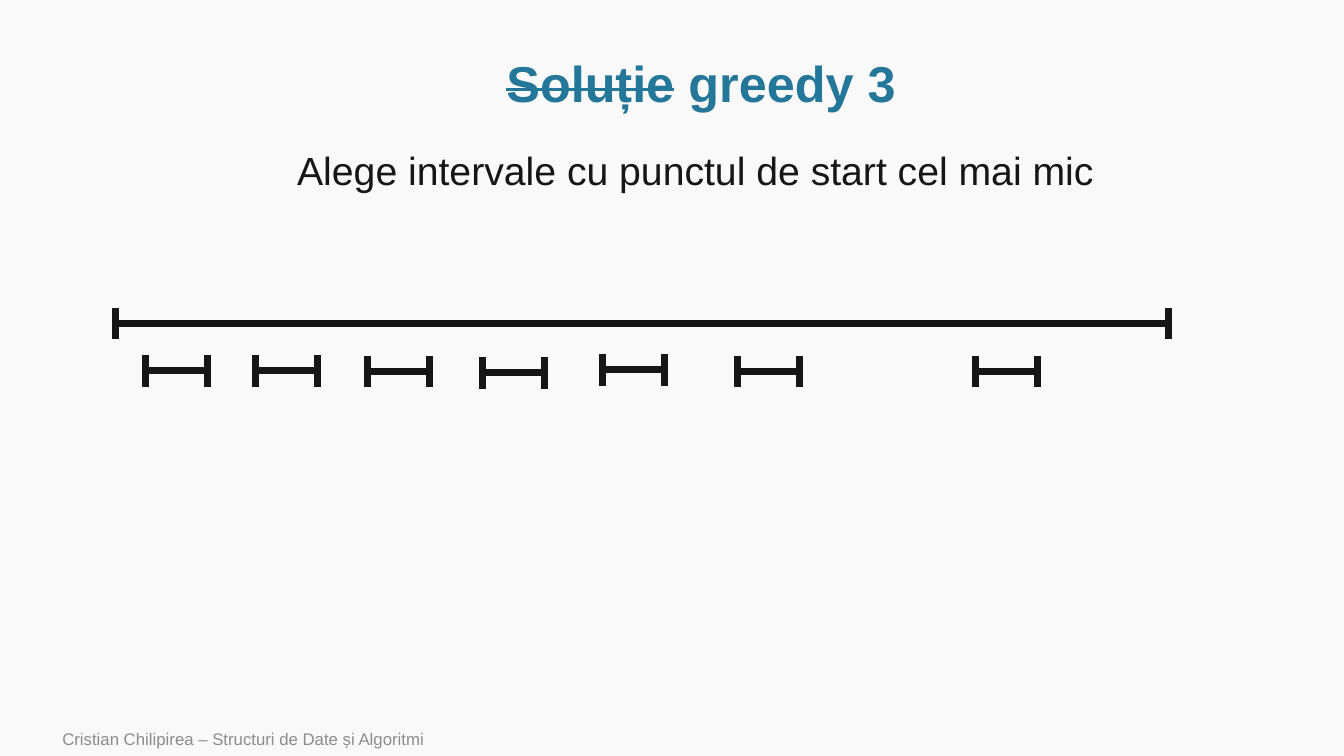
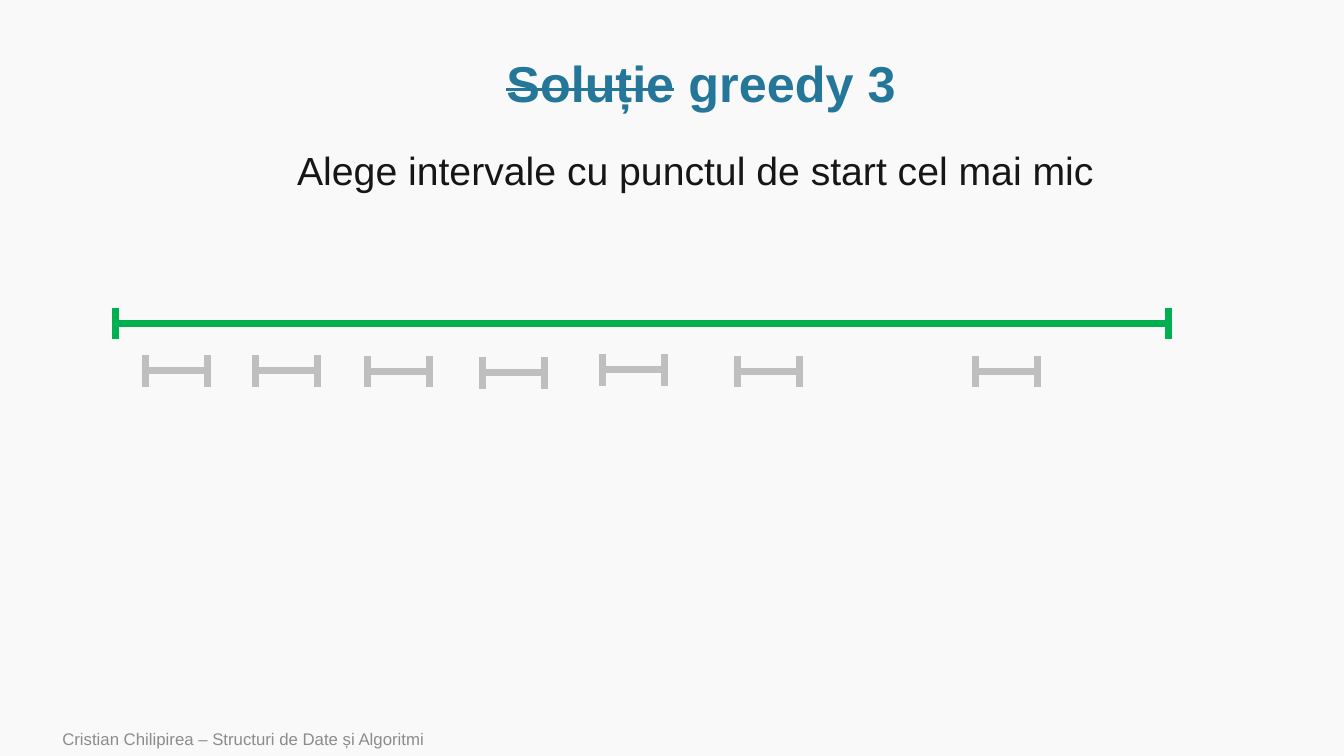
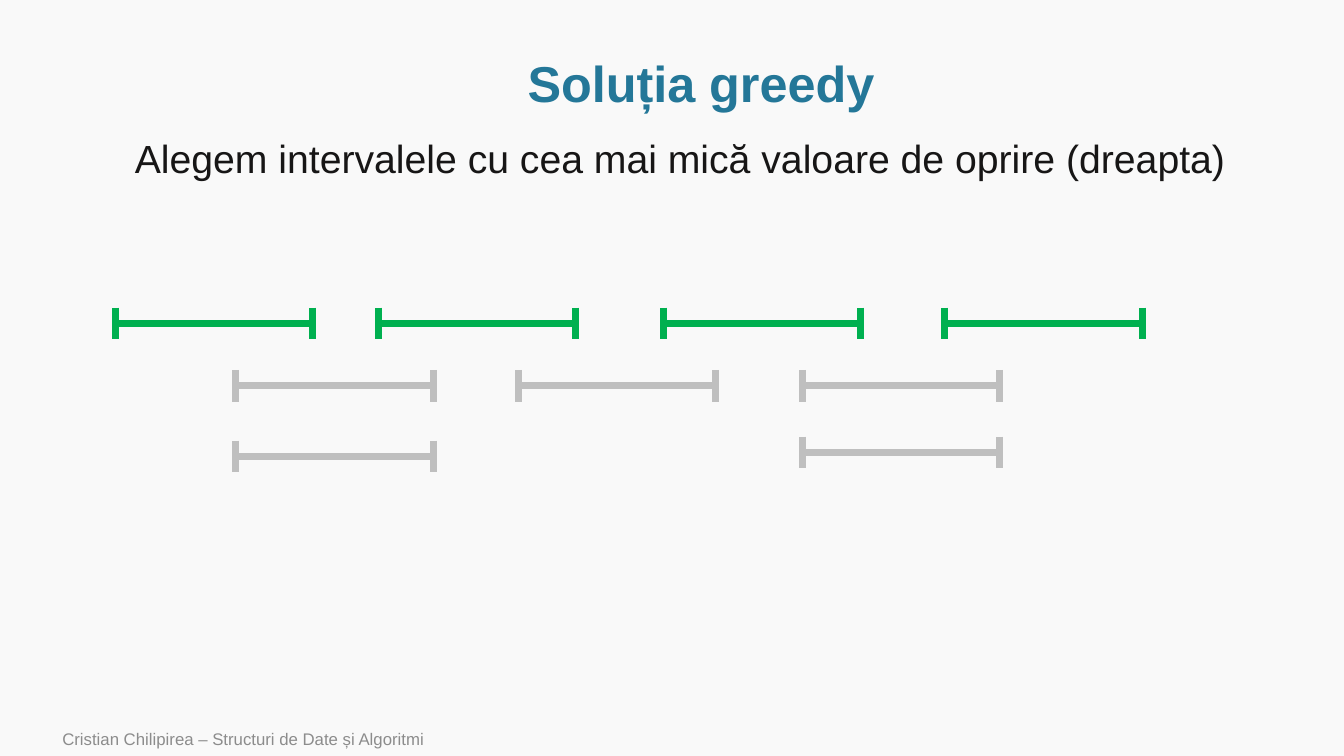
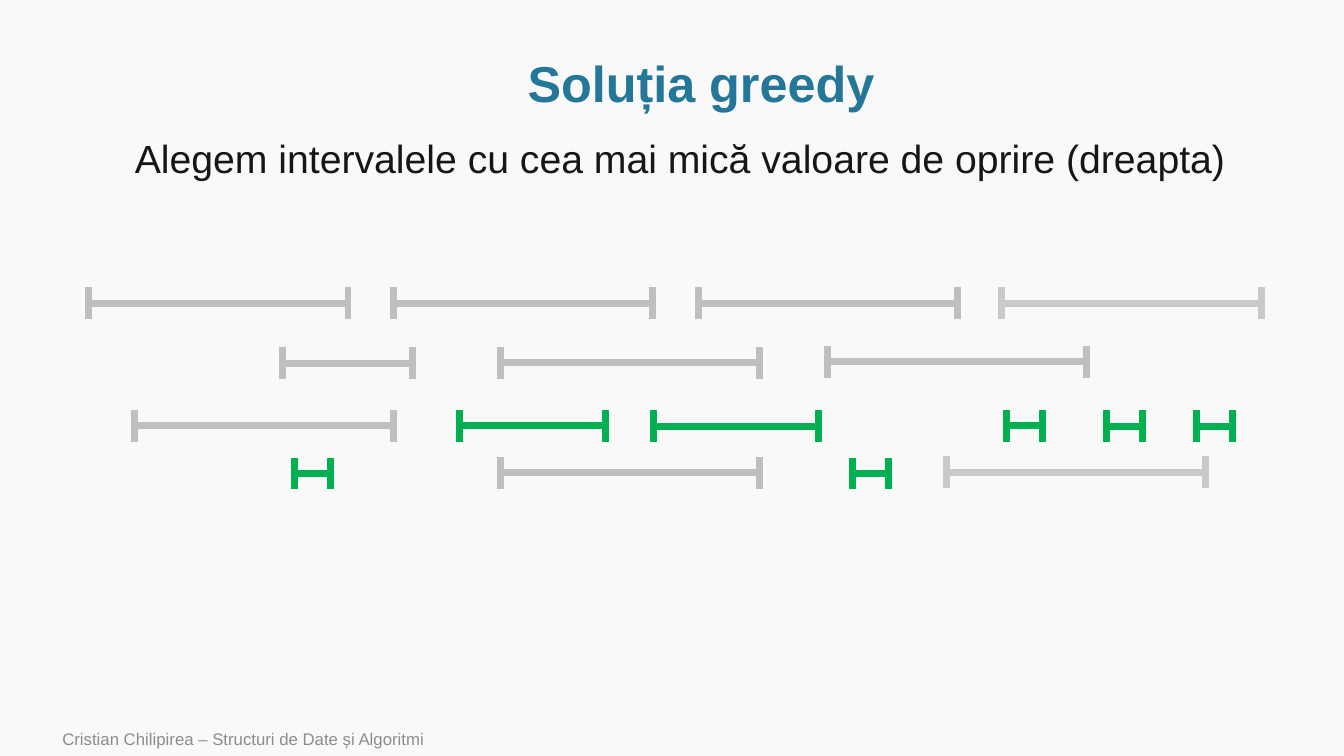
from pptx import Presentation
from pptx.dml.color import RGBColor
from pptx.enum.shapes import MSO_CONNECTOR
from pptx.enum.text import MSO_ANCHOR, MSO_AUTO_SIZE, PP_ALIGN
from pptx.oxml.ns import qn
from pptx.util import Cm, Pt
from lxml.etree import SubElement

BACK, BLUE, MUTED = "F9F9F9", "247798", "8C8C8C"
BLACK, GREEN, GREY, PALE = "171616", "00B050", "BFBFBF", "C9C9C9"
FOOTER = "Cristian Chilipirea – Structuri de Date și Algoritmi"
TICK = 0.4


def tint(color, code):
    color.rgb = RGBColor.from_string(code)


def write(box, place, parts, size, code, anchor=MSO_ANCHOR.TOP):
    box.left, box.top, box.width, box.height = [Cm(n) for n in place]
    frame = box.text_frame
    frame.word_wrap = True
    frame.auto_size = MSO_AUTO_SIZE.NONE
    frame.vertical_anchor = anchor
    para = frame.paragraphs[0]
    para.font.name = "Arial"
    para.font.size = Pt(size)
    tint(para.font.color, code)
    for text, struck in parts:
        run = para.add_run()
        run.text = text
        if struck:
            run._r.get_or_add_rPr().set("strike", "sngStrike")
    return para


start = {
    "title": [("Soluție", True), (" greedy 3", False)],
    "rule": "Alege intervale cu punctul de start cel mai mic",
    "place": (7.24, 3.56, 20.83, 1.45),
    "space": 1.0,
}
stop = {
    "title": [("Soluția greedy", False)],
    "rule": "Alegem intervalele cu cea mai mică valoare de oprire (dreapta)",
    "place": (3.15, 3.4, 29.29, 1.75),
    "space": 0.9,
}

long = (2.9, 8.15, 26.54)
short = [(x, y, 1.56) for x, y in [
    (3.66, 9.34), (6.45, 9.34), (9.27, 9.36), (12.17, 9.39),
    (15.19, 9.32), (18.59, 9.36), (24.59, 9.36)]]
even = [(x, 8.15, 4.98, GREEN) for x in (2.9, 9.53, 16.71, 23.8)]
even += [(x, y, 4.98, GREY) for x, y in [
    (5.94, 9.72), (13.06, 9.72), (20.22, 9.72), (5.94, 11.5), (20.22, 11.4)]]
mixed = [(x, y, 6.53, GREY) for x, y in [
    (2.24, 7.64), (9.91, 7.64), (17.6, 7.64), (12.62, 9.14),
    (20.85, 9.12), (3.38, 10.73), (12.62, 11.91)]]
mixed += [(x, y, 6.53, PALE) for x, y in [(25.25, 7.64), (23.85, 11.9)]]
mixed += [(7.11, 9.15, 3.28, GREY), (11.58, 10.73, 3.68, GREEN), (16.48, 10.74, 4.14, GREEN)]
mixed += [(x, y, 0.91, GREEN) for x, y in [
    (7.42, 11.93), (21.49, 11.93), (25.37, 10.73), (27.89, 10.74), (30.15, 10.74)]]

pages = [
    (start, [(*bar, BLACK) for bar in [long, *short]]),
    (start, [(*long, GREEN)] + [(*bar, GREY) for bar in short]),
    (stop, even),
    (stop, mixed),
]

deck = Presentation()
deck.slide_width, deck.slide_height = Cm(33.87), Cm(19.05)
fill = deck.slide_master.background.fill
fill.solid()
tint(fill.fore_color, BACK)

for head, bars in pages:
    slide = deck.slides.add_slide(deck.slide_layouts[5])
    shapes = slide.shapes

    title = write(shapes.title, (2.9, 1.3, 29.54, 1.75), head["title"], 36, BLUE, MSO_ANCHOR.MIDDLE)
    title.font.bold = True
    title.alignment = PP_ALIGN.CENTER
    title.line_spacing = 0.9

    rule = write(shapes.add_textbox(0, 0, 0, 0), head["place"], [(head["rule"], False)], 28, BLACK)
    rule.line_spacing = head["space"]

    write(shapes.add_textbox(0, 0, 0, 0), (1.32, 18.19, 21.34, 0.86),
          [(FOOTER, False)], 12, MUTED, MSO_ANCHOR.MIDDLE)

    for x, y, size, code in bars:
        group = shapes.add_group_shape()
        end = x + size
        for ends in [(x, y, end, y), (x, y - TICK, x, y + TICK), (end, y - TICK, end, y + TICK)]:
            line = group.shapes.add_connector(MSO_CONNECTOR.STRAIGHT, *[Cm(n) for n in ends])
            line.line.width = Pt(5)
            tint(line.line.color, code)
            SubElement(line._element.spPr, qn("a:effectLst"))

deck.save("out.pptx")
